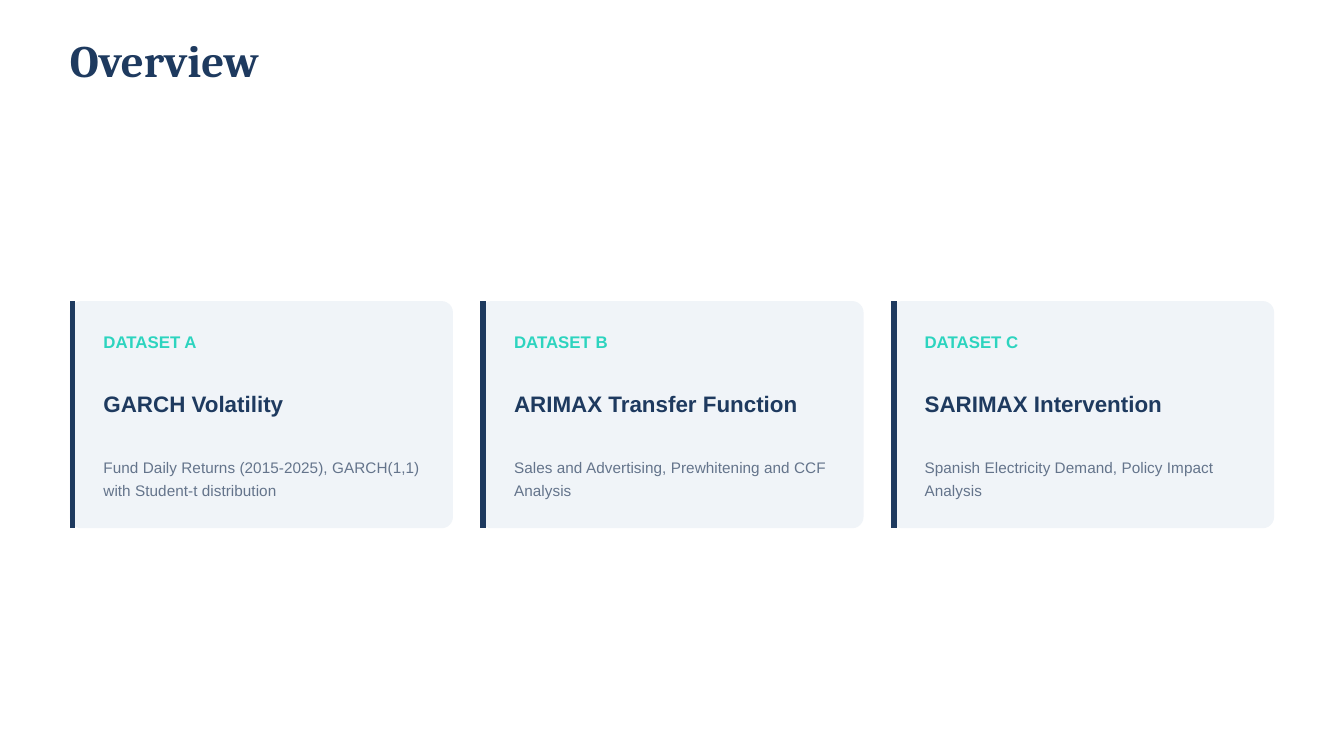
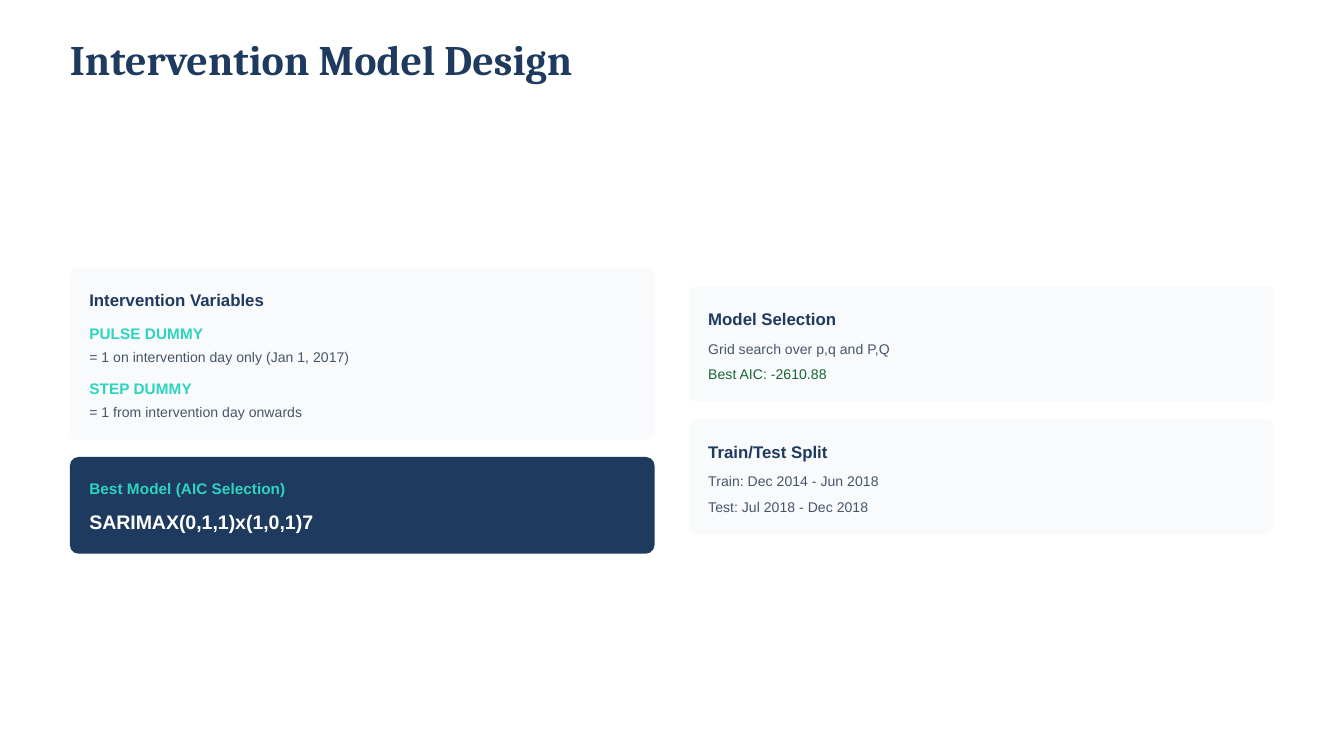
import pptx
import pptx.dml.color
import pptx.enum.shapes
import pptx.enum.text
import pptx.oxml.ns
import pptx.util
from lxml import etree

PX = 4572  # EMU per px, 200 px to the inch
PX_PER_POINT = 200 / 72

COLORS = {
    "navy": "1E3A5F",
    "teal": "2DD4BF",
    "card": "F0F4F8",
    "panel": "F8FAFC",
    "muted": "64748B",
    "slate": "475569",
    "green": "166534",
    "white": "FFFFFF",
}
COLORS = {name: pptx.dml.color.RGBColor.from_string(value) for name, value in COLORS.items()}

# Style: font, size, line spacing, colour, bold
STYLES = {
    "title": ("Cambria", 24, 24, "navy", True),
    "long title": ("Cambria", 22.5, 22.5, "navy", True),
    "dataset": ("Arial", 9, 12.6, "teal", True),
    "method": ("Arial", 12, 16.8, "navy", True),
    "description": ("Arial", 8.25, 12.38, "muted", False),
    "heading": ("Arial", 9, 12.6, "navy", True),
    "label": ("Arial", 8.25, 11.55, "teal", True),
    "detail": ("Arial", 7.5, 10.5, "slate", False),
    "result": ("Arial", 7.5, 10.5, "green", False),
    "model": ("Arial", 10.5, 14.7, "white", True),
}

MARGIN = 104


def write_text(slide, text, style, left, top, width, lines=1):
    """Write one styled text; titles go into the title placeholder."""
    font_name, size, spacing, color, bold = STYLES[style]
    if style.endswith("title"):
        shape = slide.shapes.title
    else:
        shape = slide.shapes.add_textbox(0, 0, 0, 0)
    shape.left, shape.top, shape.width = left * PX, top * PX, width * PX
    shape.height = round(spacing * lines * PX_PER_POINT) * PX
    frame = shape.text_frame
    frame.text = text
    frame.word_wrap = True
    frame.auto_size = pptx.enum.text.MSO_AUTO_SIZE.NONE
    frame.vertical_anchor = pptx.enum.text.MSO_ANCHOR.TOP
    frame.margin_left = frame.margin_top = frame.margin_right = frame.margin_bottom = 0
    paragraph = frame.paragraphs[0]
    paragraph.alignment = pptx.enum.text.PP_ALIGN.LEFT
    paragraph.line_spacing = pptx.util.Pt(spacing)
    paragraph.font.name = font_name
    paragraph.font.size = pptx.util.Pt(size)
    paragraph.font.bold = bold
    paragraph.font.color.rgb = COLORS[color]


def add_card(slide, left, top, width, height, corner, color):
    """Add a rounded, borderless card."""
    card = slide.shapes.add_shape(
        pptx.enum.shapes.MSO_SHAPE.ROUNDED_RECTANGLE,
        left * PX, top * PX, width * PX, height * PX)
    card.adjustments[0] = corner
    card.fill.solid()
    card.fill.fore_color.rgb = COLORS[color]
    card.line.fill.background()
    card.shadow.inherit = False


presentation = pptx.Presentation()
presentation.slide_width = 2000 * PX
presentation.slide_height = 1125 * PX
title_only = presentation.slide_layouts[5]

# Slide 1: overview of the three datasets
slide = presentation.slides.add_slide(title_only)
write_text(slide, "Overview", "title", MARGIN, 62, 916)

datasets = [
    ("DATASET A", "GARCH Volatility",
     "Fund Daily Returns (2015-2025), GARCH(1,1) with Student-t distribution"),
    ("DATASET B", "ARIMAX Transfer Function",
     "Sales and Advertising, Prewhitening and CCF Analysis"),
    ("DATASET C", "SARIMAX Intervention",
     "Spanish Electricity Demand, Policy Impact Analysis"),
]
card_top, card_height = 448, 338
for index, (dataset, method, description) in enumerate(datasets):
    left = MARGIN + 611 * index
    add_card(slide, left, card_top, 570, card_height, 0.05, "card")

    # Accent along the left edge
    accent_x = (left + 4) * PX
    accent = slide.shapes.add_connector(
        pptx.enum.shapes.MSO_CONNECTOR.STRAIGHT,
        accent_x, card_top * PX, accent_x, (card_top + card_height) * PX)
    accent.line.color.rgb = COLORS["navy"]
    accent.line.width = pptx.util.Pt(3)
    etree.SubElement(accent._element.spPr, pptx.oxml.ns.qn("a:effectLst"))

    write_text(slide, dataset, "dataset", left + 50, 489, 488)
    write_text(slide, method, "method", left + 50, 574, 488)
    write_text(slide, description, "description", left + 50, 675, 488, lines=2)

# Slide 2: intervention model design
slide = presentation.slides.add_slide(title_only)
write_text(slide, "Intervention Model Design", "long title", MARGIN, 62, 916)

# Panel: left, top, height, corner, colour, rows of (offset, style, text)
right_column = 1025
panels = [
    (MARGIN, 398, 257, 0.05, "panel", [
        (28, "heading", "Intervention Variables"),
        (80, "label", "PULSE DUMMY"),
        (116, "detail", "= 1 on intervention day only (Jan 1, 2017)"),
        (162, "label", "STEP DUMMY"),
        (198, "detail", "= 1 from intervention day onwards"),
    ]),
    (MARGIN, 680, 144, 0.09, "navy", [
        (28, "label", "Best Model (AIC Selection)"),
        (73, "model", "SARIMAX(0,1,1)x(1,0,1)7"),
    ]),
    (right_column, 426, 172, 0.07, "panel", [
        (28, "heading", "Model Selection"),
        (76, "detail", "Grid search over p,q and P,Q"),
        (114, "result", "Best AIC: -2610.88"),
    ]),
    (right_column, 623, 172, 0.07, "panel", [
        (29, "heading", "Train/Test Split"),
        (76, "detail", "Train: Dec 2014 - Jun 2018"),
        (115, "detail", "Test: Jul 2018 - Dec 2018"),
    ]),
]
for left, top, height, corner, color, rows in panels:
    add_card(slide, left, top, 870, height, corner, color)
    for offset, style, text in rows:
        write_text(slide, text, style, left + 29, top + offset, 828)

presentation.save("out.pptx")
